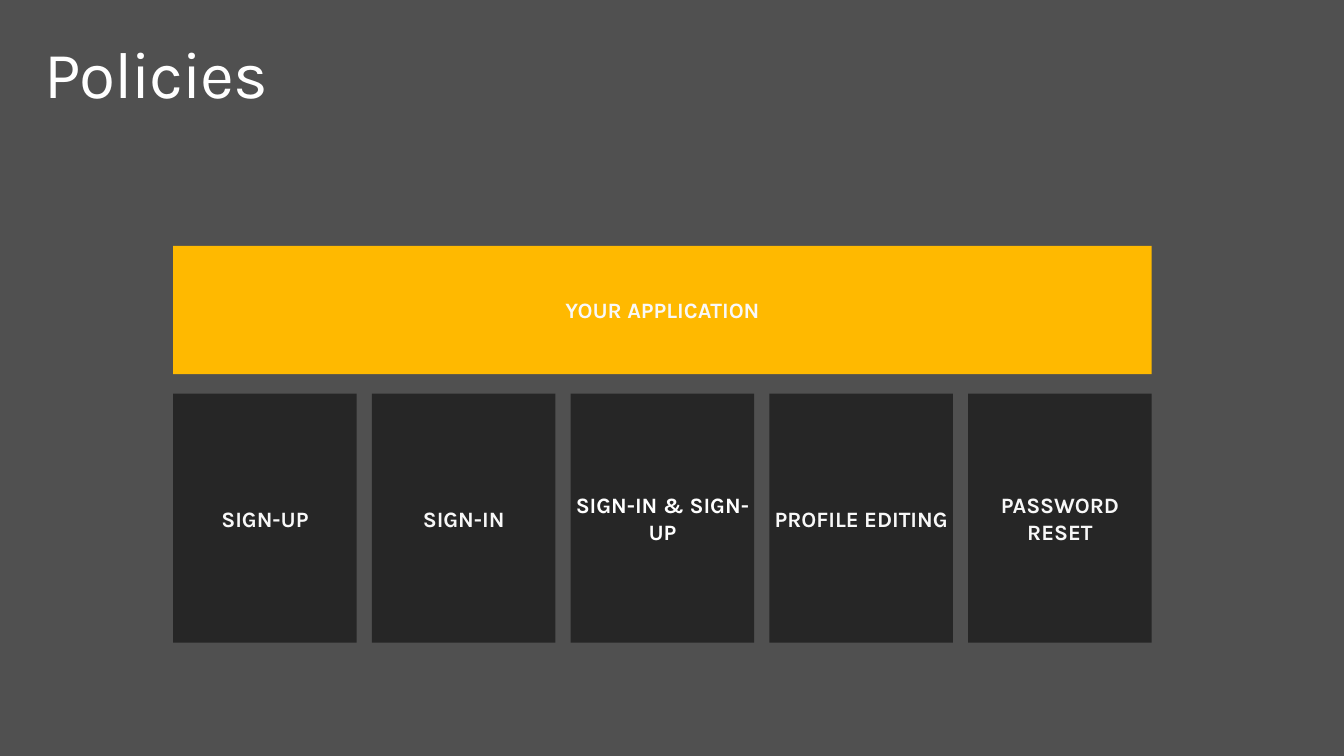
from pptx import Presentation
from pptx.dml.color import RGBColor
from pptx.enum.shapes import MSO_SHAPE
from pptx.enum.text import MSO_ANCHOR, MSO_AUTO_SIZE, PP_ALIGN
from pptx.util import Cm, Pt

RECTANGLE = MSO_SHAPE.RECTANGLE
TOP, MIDDLE = MSO_ANCHOR.TOP, MSO_ANCHOR.MIDDLE
LEFT, CENTER = PP_ALIGN.LEFT, PP_ALIGN.CENTER
NO_AUTOFIT = MSO_AUTO_SIZE.NONE

GREY = RGBColor(0x50, 0x50, 0x50)
CHARCOAL = RGBColor(0x26, 0x26, 0x26)
AMBER = RGBColor(0xFF, 0xB9, 0x00)
OFF_WHITE = RGBColor(0xF8, 0xF8, 0xF8)
WHITE = RGBColor(0xFF, 0xFF, 0xFF)

POLICIES = [
    ("SIGN-UP", OFF_WHITE),
    ("SIGN-IN", OFF_WHITE),
    ("SIGN-IN & SIGN-UP", WHITE),
    ("PROFILE EDITING", OFF_WHITE),
    ("PASSWORD RESET", OFF_WHITE),
]
STACK_LEFT, STACK_WIDTH = 4.45, 25.15
POLICY_WIDTH = 4.72
POLICY_PITCH = (STACK_WIDTH - POLICY_WIDTH) / (len(POLICIES) - 1)


def write(frame, text, *, font, size, color, bold=False, align=LEFT,
          anchor=TOP, inset=(0, 0), line_spacing=None, tracking=None):
    frame.word_wrap = True
    frame.auto_size = NO_AUTOFIT
    frame.vertical_anchor = anchor
    frame.margin_left = frame.margin_right = Cm(inset[0])
    frame.margin_top = frame.margin_bottom = Cm(inset[1])
    paragraph = frame.paragraphs[0]
    paragraph.alignment = align
    paragraph.line_spacing = line_spacing
    run = paragraph.add_run()
    run.text = text
    run.font.name = font
    run.font.size = Pt(size)
    run.font.bold = bold
    run.font.color.rgb = color
    if tracking is not None:
        run._r.get_or_add_rPr().set("spc", str(tracking))


class PolicyDeck:
    font = "Karla"
    title_size = 48
    label_size = 16

    def __init__(self, width, height):
        self.presentation = Presentation()
        self.presentation.slide_width = Cm(width)
        self.presentation.slide_height = Cm(height)
        title_only = self.presentation.slide_layouts[5]
        self.slide = self.presentation.slides.add_slide(title_only)
        background = self.slide.background.fill
        background.solid()
        background.fore_color.rgb = GREY

    def title(self, text, left, top, width, height):
        heading = self.slide.shapes.title
        heading.left, heading.top = Cm(left), Cm(top)
        heading.width, heading.height = Cm(width), Cm(height)
        write(heading.text_frame, text, font=self.font, size=self.title_size,
              color=WHITE, inset=(0.41, 0.25), line_spacing=0.9, tracking=-100)

    def block(self, text, left, top, width, height, fill, color=OFF_WHITE):
        block = self.slide.shapes.add_shape(
            RECTANGLE, Cm(left), Cm(top), Cm(width), Cm(height))
        block.shadow.inherit = False
        block.fill.solid()
        block.fill.fore_color.rgb = fill
        block.line.fill.background()
        write(block.text_frame, text, font=self.font, size=self.label_size,
              color=color, bold=True, align=CENTER, anchor=MIDDLE,
              inset=(0, 0.13))

    def save(self):
        self.presentation.save("out.pptx")


def main():
    deck = PolicyDeck(34.54, 19.43)
    deck.title("Policies", 0.74, 0.81, 32.39, 2.49)
    for column, (policy, color) in enumerate(POLICIES):
        deck.block(policy, STACK_LEFT + column * POLICY_PITCH, 10.12,
                   POLICY_WIDTH, 6.4, CHARCOAL, color)
    deck.block("YOUR APPLICATION", STACK_LEFT, 6.32, STACK_WIDTH, 3.3, AMBER)
    deck.save()


if __name__ == "__main__":
    main()
